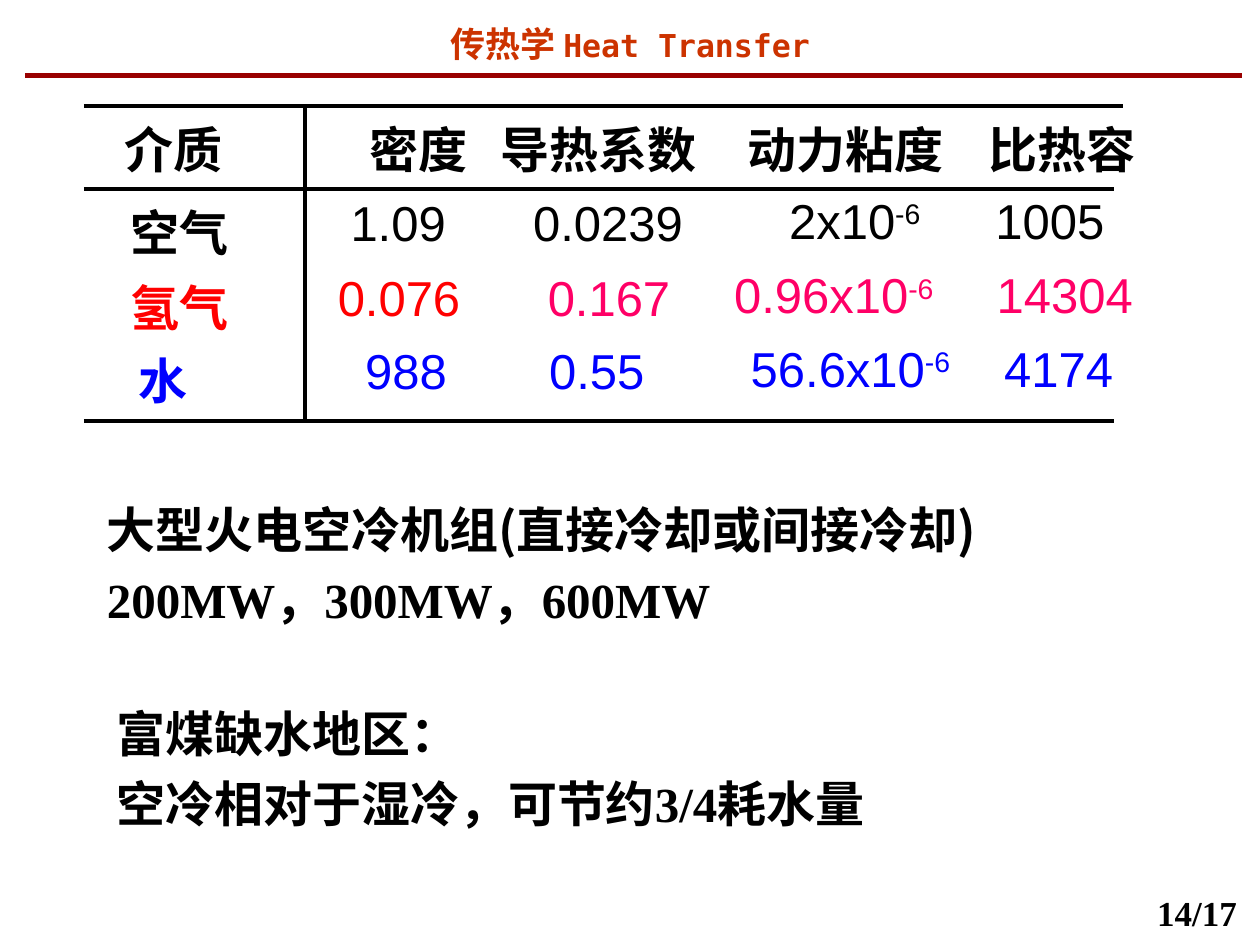
import pptx
import pptx.dml.color
import pptx.enum.shapes
import pptx.enum.text
import pptx.oxml
import pptx.oxml.ns
import pptx.util

Pt = pptx.util.Pt
ALIGN = pptx.enum.text.PP_ALIGN
ANCHOR = pptx.enum.text.MSO_ANCHOR
HAN, SERIF, SANS, MONO = "Noto Sans CJK SC", "Times New Roman", "Arial", "DejaVu Sans Mono"
BLACK, RED, PINK, BLUE = "000000", "FF0000", "FF0066", "0000FF"
NAMESPACE = pptx.oxml.ns.nsdecls("a")

TITLE = [[("传热学 ", HAN, 20), ("Heat Transfer", MONO, 18)]]
PAGE_NUMBER = [[("14/17", SERIF, 20)]]
MEDIA = [
    (["介质", "密度", "导热系数", "动力粘度", "比热容"],
     [BLACK] * 5, [99, 239, 342, 483, 607]),
    (["空气", "1.09", "0.0239", ("2x10", "-6"), "1005"],
     [BLACK] * 5, [102.5, 227.5, 347.5, 488.5, 600]),
    (["氢气", "0.076", "0.167", ("0.96x10", "-6"), "14304"],
     [RED] * 2 + [PINK] * 3, [102.5, 228, 348, 476.5, 608.5]),
    (["水", "988", "0.55", ("56.6x10", "-6"), "4174"],
     [BLUE] * 5, [93, 232, 341, 486, 605]),
]
TABLE_TOP = 64
COLUMN_EDGES = [48, 174, 284, 404, 558, 656]
ROW_HEIGHTS = [47.5, 42.5, 42, 44]
COLUMN_DROPS = [0, 1.4, 1.4, 0, 0]
RULES = [
    ((14.4, 43.2, 710, 43.2), 3, "990000"),
    ((48, 60.5, 642, 60.5), 2.25, BLACK),
    ((48, 108, 636.5, 108), 2.25, BLACK),
    ((48, 240.5, 636.5, 240.5), 2.25, BLACK),
    ((174.2, 60.5, 174.2, 240.5), 2.25, BLACK),
]
NOTES = [
    ((54, 275, 538, 128), [
        [("大型火电空冷机组(直接冷却或间接冷却)", HAN, 28)],
        [("200MW，300MW，600MW", SERIF, 28)],
    ]),
    ((59.6, 391.7, 510, 88), [
        [("富煤缺水地区：", HAN, 28)],
        [("空冷相对于湿冷，可节约", HAN, 28), ("3/4", SERIF, 28), ("耗水量", HAN, 28)],
    ]),
]


def color(value):
    return pptx.dml.color.RGBColor.from_string(value)


def apply(target, formats):
    for name, value in formats.items():
        setattr(target, name, value)


def add_span(para, text, face, size, shade, bold):
    span = para.add_run()
    span.text = text
    apply(span.font, {"name": face, "size": Pt(size), "bold": bold})
    span.font.color.rgb = color(shade)
    span.font._element.append(
        pptx.oxml.parse_xml(f'<a:ea {NAMESPACE} typeface="{HAN}"/>'))
    return span


def write(frame, lines, shade=BLACK, bold=True, **formats):
    for index, line in enumerate(lines):
        para = frame.add_paragraph() if index else frame.paragraphs[0]
        apply(para, formats)
        for text, face, size in line:
            add_span(para, text, face, size, shade, bold)


def place(shape, bounds, anchor):
    apply(shape, dict(zip(("left", "top", "width", "height"), map(Pt, bounds))))
    apply(shape.text_frame, {"word_wrap": True, "vertical_anchor": anchor,
                             "auto_size": pptx.enum.text.MSO_AUTO_SIZE.NONE})
    return shape.text_frame


def add_box(page, bounds, anchor=ANCHOR.TOP):
    return place(page.shapes.add_textbox(0, 0, 0, 0), bounds, anchor)


def fill_cell(cell, content, shade, heading, shift, drop):
    apply(cell, {"margin_left": Pt(max(0, 2 * shift)), "margin_right": Pt(max(0, -2 * shift)),
                 "margin_top": Pt(drop), "margin_bottom": 0, "vertical_anchor": ANCHOR.TOP})
    cell.fill.background()
    para = cell.text_frame.paragraphs[0]
    para.alignment = ALIGN.CENTER
    base, *power = [content] if isinstance(content, str) else content
    face = HAN if heading else SANS
    add_span(para, base, face, 28, shade, heading)
    for text in power:
        span = add_span(para, text, face, 28, shade, heading)
        span.font._element.set("baseline", "30000")


def add_media_table(page):
    left, right = COLUMN_EDGES[0], COLUMN_EDGES[-1]
    table = page.shapes.add_table(len(MEDIA), len(COLUMN_DROPS), Pt(left), Pt(TABLE_TOP),
                                  Pt(right - left), Pt(sum(ROW_HEIGHTS))).table
    apply(table, {"first_row": False, "horz_banding": False})
    spans = list(zip(COLUMN_EDGES, COLUMN_EDGES[1:]))
    for column, (start, end) in zip(table.columns, spans):
        column.width = Pt(end - start)
    for row, height in zip(table.rows, ROW_HEIGHTS):
        row.height = Pt(height)
    for row, record in enumerate(MEDIA):
        for column, (content, shade, center) in enumerate(zip(*record)):
            heading = row == 0 or column == 0
            fill_cell(table.cell(row, column), content, shade, heading,
                      center - sum(spans[column]) / 2,
                      0 if heading else COLUMN_DROPS[column])


def add_rule(page, ends, width, shade):
    rule = page.shapes.add_connector(pptx.enum.shapes.MSO_CONNECTOR.STRAIGHT,
                                     *map(Pt, ends))
    rule.line.width = Pt(width)
    rule.line.color.rgb = color(shade)
    rule._element.spPr.append(pptx.oxml.parse_xml(f"<a:effectLst {NAMESPACE}/>"))


def main():
    deck = pptx.Presentation()
    apply(deck, {"slide_width": Pt(720), "slide_height": Pt(540)})
    page = deck.slides.add_slide(deck.slide_layouts[5])
    write(place(page.shapes.title, (14, 9.4, 692, 31.7), ANCHOR.TOP), TITLE,
          "CC3300", alignment=ALIGN.CENTER)
    add_media_table(page)
    for ends, width, shade in RULES:
        add_rule(page, ends, width, shade)
    for bounds, lines in NOTES:
        write(add_box(page, bounds), lines, line_spacing=1.2)
    write(add_box(page, (564, 501, 150, 36), ANCHOR.BOTTOM), PAGE_NUMBER,
          alignment=ALIGN.RIGHT)
    deck.save("out.pptx")


if __name__ == "__main__":
    main()
